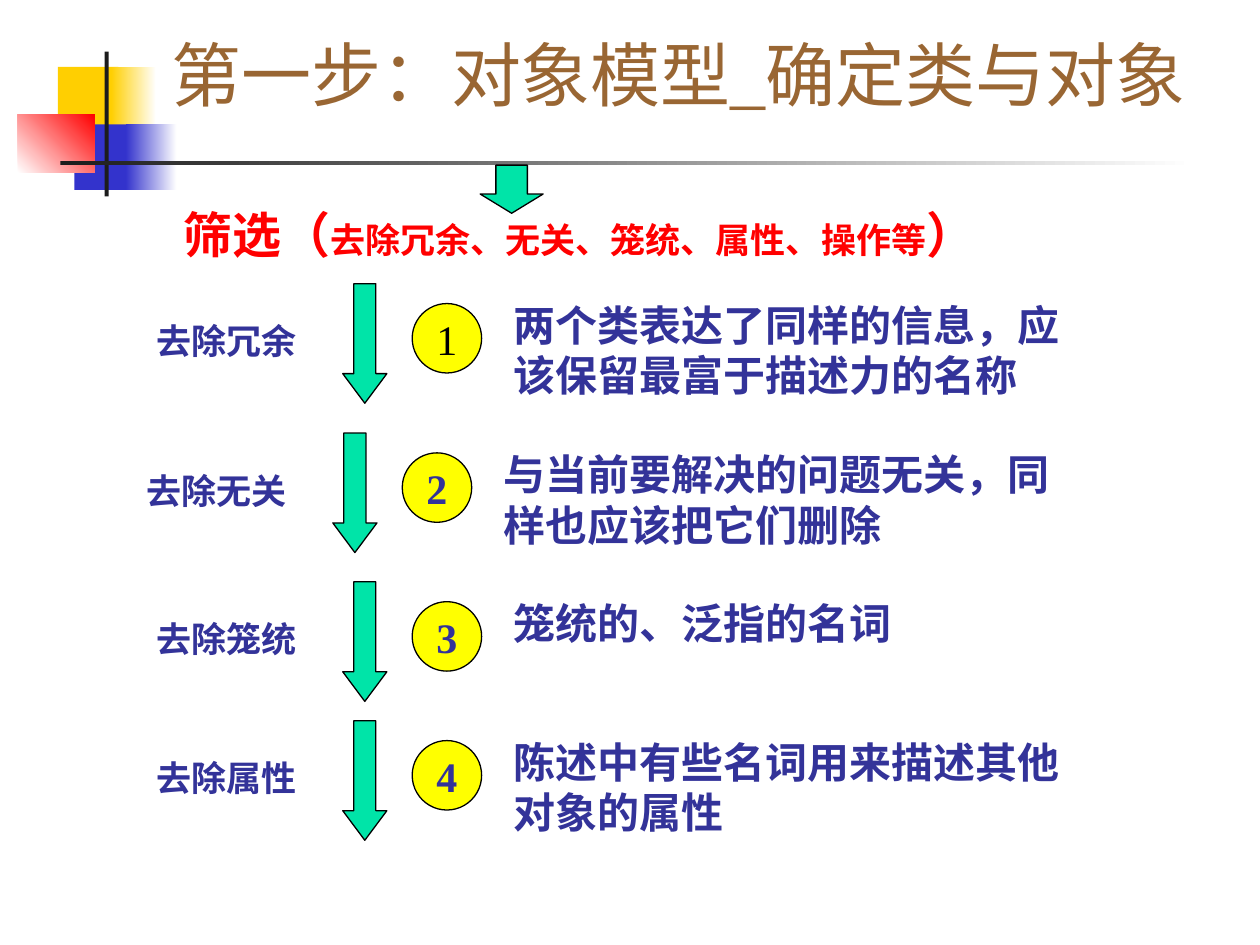
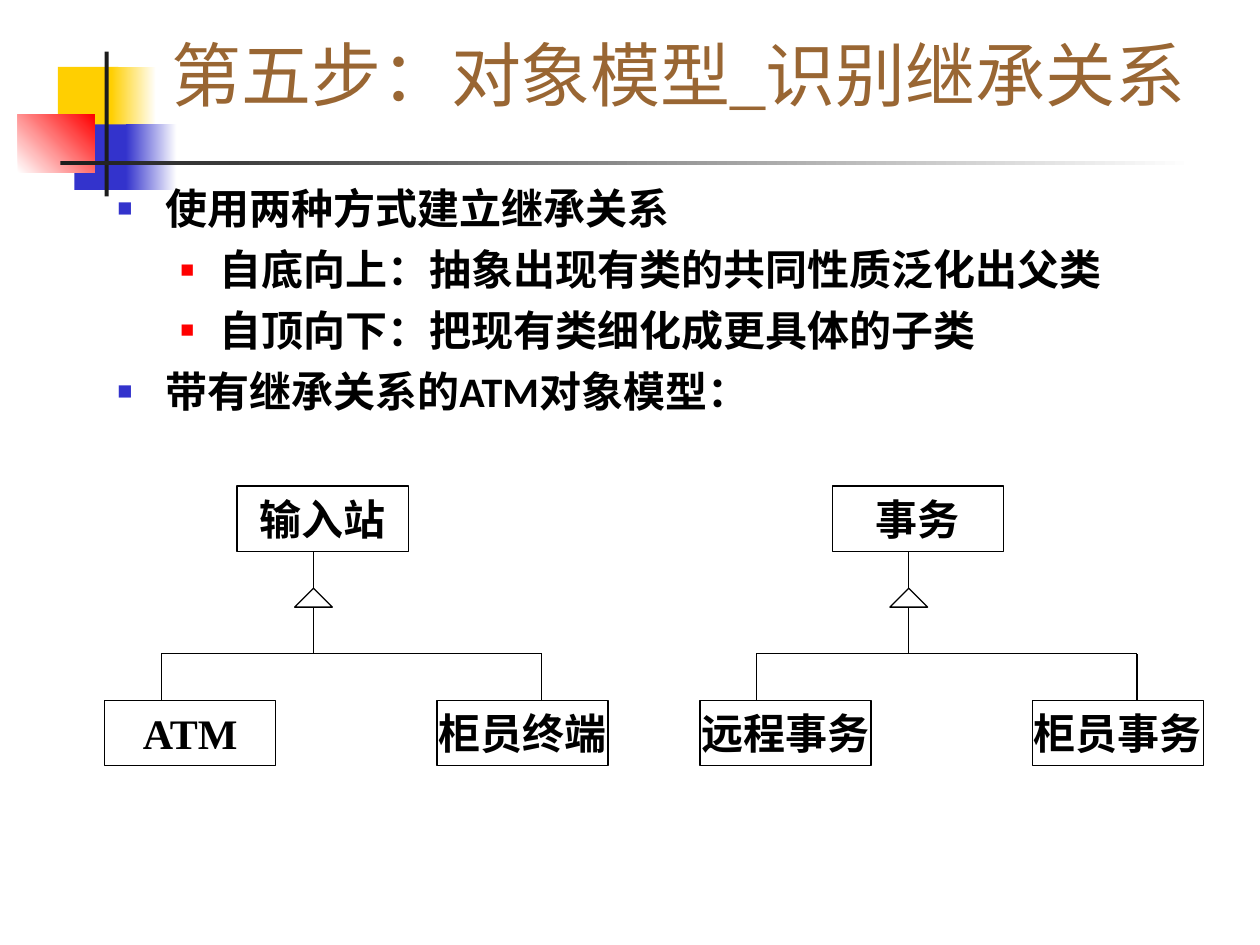
import pptx
import pptx.util
import pptx.dml.color
import pptx.enum.shapes
import pptx.enum.text
import lxml.etree

Cm = pptx.util.Cm
Pt = pptx.util.Pt
rgb = pptx.dml.color.RGBColor.from_string
SHAPE = pptx.enum.shapes.MSO_SHAPE
ALIGN = pptx.enum.text.PP_ALIGN
ANCHOR = pptx.enum.text.MSO_ANCHOR
NAMESPACE = "{http://schemas.openxmlformats.org/drawingml/2006/main}"

SERIF = "Times New Roman"
BLACK = "000000"
WHITE = "FFFFFF"
RED = "FF0000"
YELLOW = "FFCF01"
BLUE = "3333CC"
CHARCOAL = "1C1C1C"
BROWN = "996633"
INDIGO = "333399"
GREEN = "00E4A8"
LEMON = "FFFF00"


def add_figure(page, kind, place, fill=None, line=BLACK):
    figure = page.shapes.add_shape(kind, *[Cm(length) for length in place])
    figure.shadow.inherit = False
    if fill:
        figure.fill.solid()
        figure.fill.fore_color.rgb = rgb(fill)
    else:
        figure.fill.background()
    if line:
        figure.line.color.rgb = rgb(line)
        figure.line.width = Pt(0.75)
    else:
        figure.line.fill.background()
    return figure


def add_span(para, text, size, colour, bold=True, font=SERIF):
    span = para.add_run()
    span.text = text
    span.font.name = font
    span.font.size = Pt(size)
    span.font.bold = bold
    span.font.color.rgb = rgb(colour)


deck = pptx.Presentation()
deck.slide_width = Cm(25.4)
deck.slide_height = Cm(19.05)

titles = [
    ("第一步：对象模型_确定类与对象", 5),
    ("第五步：对象模型_识别继承关系", 1),
]
for title, layout in titles:
    page = deck.slides.add_slide(deck.slide_layouts[layout])
    box = page.shapes.title
    box.left, box.top, box.width, box.height = Cm(3.2), Cm(0.53), Cm(21.64), Cm(1.93)
    box.text_frame.auto_size = pptx.enum.text.MSO_AUTO_SIZE.NONE
    box.text_frame.vertical_anchor = ANCHOR.BOTTOM
    para = box.text_frame.paragraphs[0]
    para.alignment = ALIGN.LEFT
    add_span(para, title, 40, BROWN, False)

screening, inheritance = deck.slides

bands = [
    ((1.17, 1.35, 1.22, 1.32), [YELLOW], 0),
    ((2.24, 1.35, 0.91, 1.32), [YELLOW, WHITE], 0),
    ((1.5, 2.51, 1.17, 1.32), [BLUE], 0),
    ((2.54, 2.51, 1.02, 1.32), [BLUE, WHITE], 0),
    ((0.36, 2.31, 1.55, 1.17), [WHITE, RED], 45),
    ((2.11, 1.04, 0.08, 2.92), [CHARCOAL], 0),
    ((1.22, 3.25, 22.86, 0.08), [CHARCOAL, WHITE], 0),
]
master_tree = deck.slide_master.shapes.element
for index, (place, colours, angle) in enumerate(bands):
    band = add_figure(screening, SHAPE.RECTANGLE, place, colours[0], None)
    if len(colours) == 2:
        band.fill.gradient()
        band.fill.gradient_angle = angle
        for stop, colour in zip(band.fill.gradient_stops, colours):
            stop.color.rgb = rgb(colour)
    band.name = f"Band {index + 1}"
    band.element.nvSpPr.cNvPr.set("id", str(20 + index))
    master_tree.insert(2 + index, band.element)

arrow = add_figure(screening, SHAPE.DOWN_ARROW, (9.68, 3.33, 1.27, 0.97), GREEN)
arrow.adjustments[1] = 0.4
box = screening.shapes.add_textbox(Cm(3.45), Cm(3.99), Cm(20.75), Cm(1.45))
box.text_frame.word_wrap = True
para = box.text_frame.paragraphs[0]
add_span(para, "筛选（", 28, RED)
add_span(para, "去除冗余、无关、笼统、属性、操作等", 20, RED)
add_span(para, "）", 28, RED)

rules = [
    (0.2, 5.72, "去除冗余", "两个类表达了同样的信息，应该保留最富于描述力的名称"),
    (0, 8.73, "去除无关", "与当前要解决的问题无关，同样也应该把它们删除"),
    (0.2, 11.73, "去除笼统", "笼统的、泛指的名词"),
    (0.2, 14.53, "去除属性", "陈述中有些名词用来描述其他对象的属性"),
]
for number, (shift, top, label, meaning) in enumerate(rules, 1):
    arrow = add_figure(screening, SHAPE.DOWN_ARROW, (6.71 + shift, top, 0.89, 2.41), GREEN)
    arrow.adjustments[1] = 0.67
    texts = [
        (label, 20, 2.7, 0.6, 6.81, 1.12),
        (meaning, 24, 9.91, 0.19, 11.81, 2.29),
    ]
    for text, size, left, drop, width, height in texts:
        box = screening.shapes.add_textbox(
            Cm(left + shift), Cm(top + drop), Cm(width), Cm(height))
        box.text_frame.word_wrap = True
        add_span(box.text_frame.paragraphs[0], text, size, INDIGO)
    circle = add_figure(screening, SHAPE.OVAL, (8.11 + shift, top + 0.4, 1.4, 1.4), LEMON)
    circle.text_frame.word_wrap = False
    circle.text_frame.vertical_anchor = ANCHOR.MIDDLE
    para = circle.text_frame.paragraphs[0]
    para.alignment = ALIGN.CENTER
    first = number == 1
    add_span(para, str(number), 24, BLACK if first else INDIGO, not first)

body = inheritance.placeholders[1]
body.left, body.top, body.width, body.height = Cm(2.11), Cm(3.56), Cm(21.59), Cm(11.43)
body.text_frame.auto_size = pptx.enum.text.MSO_AUTO_SIZE.NONE
points = [
    (0, "使用两种方式建立继承关系"),
    (1, "自底向上：抽象出现有类的共同性质泛化出父类"),
    (1, "自顶向下：把现有类细化成更具体的子类"),
    (0, "带有继承关系的ATM对象模型："),
]
bullets = [(0.97, 0.97, BLUE, 60), (2.06, 0.79, RED, 55)]
for index, (level, text) in enumerate(points):
    para = body.text_frame.add_paragraph() if index else body.text_frame.paragraphs[0]
    para.level = level
    margin, hanging, colour, percent = bullets[level]
    settings = para._p.get_or_add_pPr()
    settings.set("marL", str(Cm(margin)))
    settings.set("indent", str(-Cm(hanging)))
    tint = lxml.etree.SubElement(settings, NAMESPACE + "buClr")
    lxml.etree.SubElement(tint, NAMESPACE + "srgbClr", val=colour)
    lxml.etree.SubElement(settings, NAMESPACE + "buSzPct", val=str(percent * 1000))
    lxml.etree.SubElement(settings, NAMESPACE + "buChar", char="■")
    para.space_before = Pt(6 if index else 0)
    add_span(para, text, 24, BLACK, font="Calibri")

trees = [
    (0, "输入站", "ATM", "柜员终端"),
    (12, "事务", "远程事务", "柜员事务"),
]
for shift, parent, left_child, right_child in trees:
    classes = [(parent, 4.78, 9.8), (left_child, 2.11, 14.12), (right_child, 8.81, 14.12)]
    for name, left, top in classes:
        box = add_figure(inheritance, SHAPE.RECTANGLE, (left + shift, top, 3.45, 1.32))
        box.text_frame.word_wrap = False
        box.text_frame.vertical_anchor = ANCHOR.MIDDLE
        para = box.text_frame.paragraphs[0]
        para.alignment = ALIGN.CENTER
        add_span(para, name, 24, BLACK)
    add_figure(inheritance, SHAPE.ISOSCELES_TRIANGLE, (5.94 + shift, 11.86, 0.76, 0.38))
    branches = [
        (6.32, 11.12, 6.32, 11.86),
        (6.32, 12.24, 6.32, 13.18),
        (3.25, 13.18, 10.92, 13.18),
        (3.25, 13.18, 3.25, 14.12),
        (10.92, 13.18, 10.92, 14.12),
    ]
    for start, top, end, bottom in branches:
        branch = inheritance.shapes.add_connector(
            pptx.enum.shapes.MSO_CONNECTOR.STRAIGHT,
            Cm(start + shift), Cm(top), Cm(end + shift), Cm(bottom))
        branch.line.color.rgb = rgb(BLACK)
        branch.line.width = Pt(0.75)
        lxml.etree.SubElement(branch.element.spPr, NAMESPACE + "effectLst")

deck.save("out.pptx")
